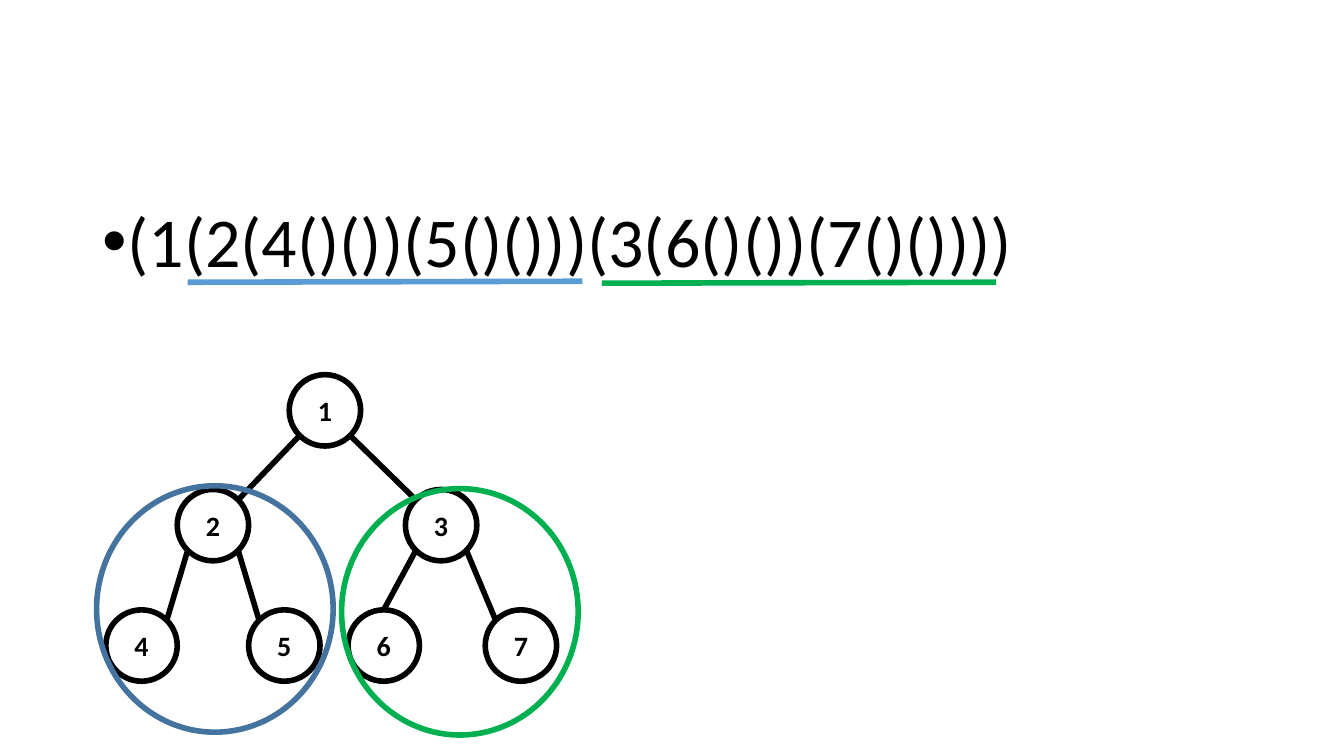
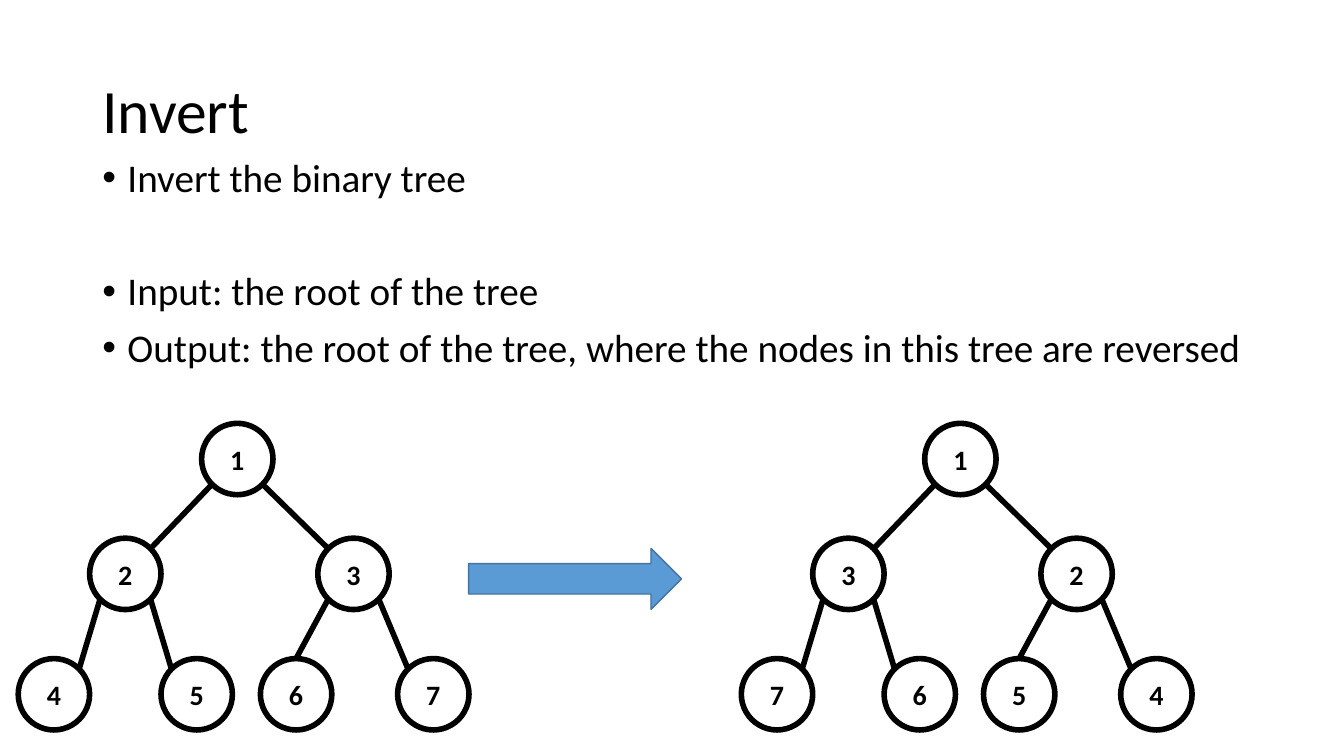
import dataclasses

import pptx
import pptx.dml.color
import pptx.enum.shapes
import pptx.enum.text
import pptx.oxml
import pptx.oxml.ns
import pptx.util

Pt = pptx.util.Pt
Shapes = pptx.enum.shapes.MSO_SHAPE
Align = pptx.enum.text.PP_ALIGN
Anchor = pptx.enum.text.MSO_ANCHOR

FONT = "Calibri"
BLACK, BLUE, DARK_BLUE, GREEN = "000000", "5B9BD5", "43739E", "00B050"
STROKE = 4
DIAMETER = 51
CORNER = 7.5
INDENT = 18
TEXT_LEFT, TEXT_WIDTH = 66, 828
NODE_FONT = {"name": FONT, "size": Pt(20), "bold": True}
TITLE_FONT = {"name": FONT, "size": Pt(44)}
BULLET_FONT = {"name": FONT, "size": Pt(28)}
SEQUENCE_FONT = {"name": FONT, "size": Pt(50)}


@dataclasses.dataclass(frozen=True)
class Box:
    left: float
    top: float
    width: float
    height: float

    def lengths(self) -> list:
        return [Pt(value) for value in dataclasses.astuple(self)]


@dataclasses.dataclass(frozen=True)
class Line:
    text: str
    space_before: float = 10
    bulleted: bool = True


@dataclasses.dataclass(frozen=True)
class Position:
    dx: float
    dy: float
    parent: int = -1
    meets_top: bool = False


@dataclasses.dataclass(frozen=True)
class Subtree:
    ring: Box
    ring_color: str
    underline: tuple
    underline_color: str


TREE = [
    Position(0, 0),
    Position(-80, 82, 0),
    Position(83, 82, 0),
    Position(-131, 168, 1),
    Position(-29, 168, 1),
    Position(42, 168, 2, meets_top=True),
    Position(140, 168, 2),
]

SUBTREES = [
    Subtree(Box(69, 347, 169, 176), DARK_BLUE, (134, 201.6, 416, 200.9), BLUE),
    Subtree(Box(244, 349, 169, 176), GREEN, (430, 202.3, 711.5, 201.6), GREEN),
]


def rgb(color: str) -> pptx.dml.color.RGBColor:
    return pptx.dml.color.RGBColor.from_string(color)


def apply_format(target, values: dict) -> None:
    for name, value in values.items():
        setattr(target, name, value)


def add_run(paragraph, text: str, font: dict) -> None:
    run = paragraph.add_run()
    run.text = text
    apply_format(run.font, font)
    run.font.color.rgb = rgb(BLACK)


def add_bullet(paragraph) -> None:
    properties = paragraph._p.get_or_add_pPr()
    properties.set("marL", str(Pt(INDENT)))
    properties.set("indent", str(-Pt(INDENT)))
    namespace = pptx.oxml.ns.nsdecls("a")
    for markup in ('buFont {} typeface="Arial"', 'buChar {} char="•"'):
        properties.append(pptx.oxml.parse_xml(f"<a:{markup.format(namespace)}/>"))


def add_text(slide, box: Box, lines: list[Line], font: dict, anchor=Anchor.TOP) -> None:
    frame = slide.shapes.add_textbox(*box.lengths()).text_frame
    apply_format(frame, {"word_wrap": True, "vertical_anchor": anchor})
    for index, line in enumerate(lines):
        paragraph = frame.add_paragraph() if index else frame.paragraphs[0]
        apply_format(paragraph, {"line_spacing": 0.9, "space_before": Pt(line.space_before)})
        if line.bulleted:
            add_bullet(paragraph)
        add_run(paragraph, line.text, font)


def add_outline(slide, kind, box: Box, color: str, width: float = STROKE, fill: str = ""):
    shape = slide.shapes.add_shape(kind, *box.lengths())
    shape.shadow.inherit = False
    if fill:
        shape.fill.solid()
        shape.fill.fore_color.rgb = rgb(fill)
    else:
        shape.fill.background()
    shape.line.color.rgb = rgb(color)
    shape.line.width = Pt(width)
    return shape


def add_line(slide, ends: tuple, color: str) -> None:
    straight = pptx.enum.shapes.MSO_CONNECTOR.STRAIGHT
    connector = slide.shapes.add_connector(straight, *[Pt(end) for end in ends])
    connector.line.color.rgb = rgb(color)
    connector.line.width = Pt(STROKE)
    effects = f"<a:effectLst {pptx.oxml.ns.nsdecls('a')}/>"
    connector._element.spPr.append(pptx.oxml.parse_xml(effects))


def add_node(slide, left: float, top: float, label: str) -> None:
    node = add_outline(slide, Shapes.OVAL, Box(left, top, DIAMETER, DIAMETER), BLACK)
    frame = node.text_frame
    apply_format(frame, {"word_wrap": True, "vertical_anchor": Anchor.MIDDLE})
    frame.paragraphs[0].alignment = Align.CENTER
    add_run(frame.paragraphs[0], label, NODE_FONT)


def add_edge(slide, left: float, top: float, child: Position) -> None:
    parent = TREE[child.parent]
    near, far = CORNER, DIAMETER - CORNER
    start, end = (near, far) if child.dx < parent.dx else (far, near)
    drop = CORNER
    if child.meets_top:
        end, drop = DIAMETER / 2, 0
    ends = (
        left + parent.dx + start,
        top + parent.dy + far,
        left + child.dx + end,
        top + child.dy + drop,
    )
    add_line(slide, ends, BLACK)


def add_tree(slide, left: float, top: float, labels: str) -> None:
    for position, label in zip(TREE, labels):
        add_node(slide, left + position.dx, top + position.dy, label)
        if position.parent >= 0:
            add_edge(slide, left, top, position)


def build_sequence_slide(slide) -> None:
    sequence = [Line("(1(2(4()())(5()()))(3(6()())(7()())))")]
    add_text(slide, Box(TEXT_LEFT, 144, TEXT_WIDTH, 343), sequence, SEQUENCE_FONT)
    add_tree(slide, 206.6, 267.6, "1234567")
    for subtree in SUBTREES:
        add_outline(slide, Shapes.OVAL, subtree.ring, subtree.ring_color)
        add_line(slide, subtree.underline, subtree.underline_color)


def build_invert_slide(slide) -> None:
    title = [Line("Invert", space_before=0, bulleted=False)]
    add_text(slide, Box(TEXT_LEFT, 28.75, TEXT_WIDTH, 104.4), title, TITLE_FONT, Anchor.MIDDLE)
    task = [
        Line("Invert the binary tree"),
        Line("Input: the root of the tree", space_before=51),
        Line("Output: the root of the tree, where the nodes in this tree are reversed"),
    ]
    add_text(slide, Box(TEXT_LEFT, 109.5, TEXT_WIDTH, 377), task, BULLET_FONT)
    for left, labels in ((144, "1234567"), (660.5, "1327654")):
        add_tree(slide, left, 302.4, labels)
    add_outline(slide, Shapes.RIGHT_ARROW, Box(334.8, 391.7, 152, 43.5), DARK_BLUE, 1, BLUE)


def main() -> None:
    deck = pptx.Presentation()
    apply_format(deck, {"slide_width": Pt(960), "slide_height": Pt(540)})
    for build in (build_sequence_slide, build_invert_slide):
        build(deck.slides.add_slide(deck.slide_layouts[6]))
    deck.save("out.pptx")


if __name__ == "__main__":
    main()
